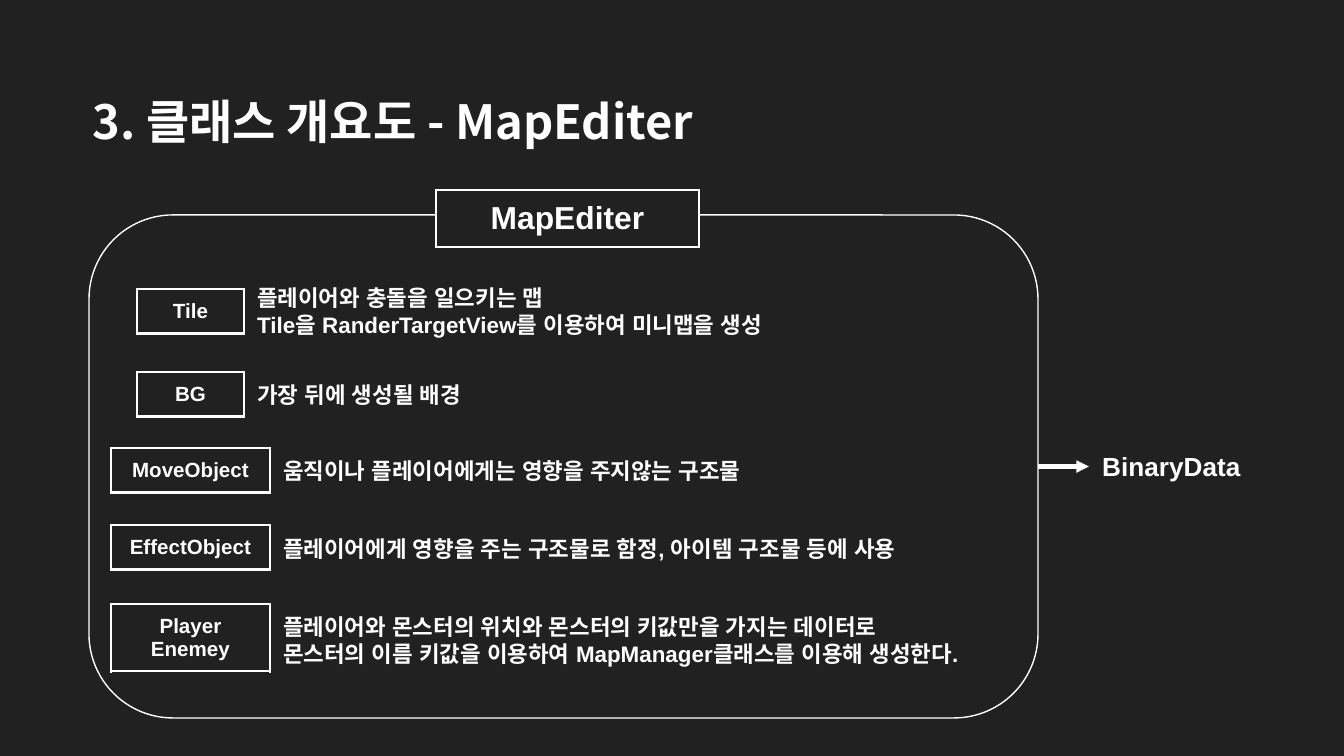
import pptx
import pptx.dml.color
import pptx.enum.shapes
import pptx.enum.text
import pptx.oxml.ns
import pptx.util
import lxml.etree

PX = 6803.57  # EMU in one px, 134.4 px to the inch
THEME = {
    "background": pptx.dml.color.RGBColor.from_string("212121"),
    "ink": pptx.dml.color.RGBColor.from_string("FFFFFF"),
    "title_font": "Noto Sans CJK KR",
    "body_font": "Arial",
    "title": 25.2, "header": 17, "output": 14, "note": 12, "label": 11,
    "panel_line": 0.75, "cell_line": 1.5, "arrow_line": 2.25,
}
qn = pptx.oxml.ns.qn


def px(*lengths):
    return [pptx.util.Emu(round(length * PX)) for length in lengths]


def write(frame, text, size, font="body_font", align=None):
    frame.text = text
    for paragraph in frame.paragraphs:
        paragraph.alignment = align
        for run in paragraph.runs:
            formats = {"name": THEME[font], "size": pptx.util.Pt(THEME[size]), "bold": True}
            for name, value in formats.items():
                setattr(run.font, name, value)
            run.font.color.rgb = THEME["ink"]
            east_asian = lxml.etree.SubElement(run.font._element, qn("a:ea"))
            east_asian.set("typeface", THEME[font])


presentation = pptx.Presentation()
presentation.slide_width, presentation.slide_height = px(1344, 756)
slide = presentation.slides.add_slide(presentation.slide_layouts[5])
slide.background.fill.solid()
slide.background.fill.fore_color.rgb = THEME["background"]

# Title
title = slide.shapes.title
title.left, title.top, title.width, title.height = px(79, 79, 717, 83)
write(title.text_frame, "3. 클래스 개요도 - MapEditer", "title", "title_font",
      pptx.enum.text.PP_ALIGN.LEFT)
title_format = {
    "vertical_anchor": pptx.enum.text.MSO_ANCHOR.MIDDLE,
    "auto_size": pptx.enum.text.MSO_AUTO_SIZE.NONE,
    "word_wrap": True,
}
for name, value in title_format.items():
    setattr(title.text_frame, name, value)

# Rounded panel around the editor's parts
panel = slide.shapes.add_shape(
    pptx.enum.shapes.MSO_SHAPE.ROUNDED_RECTANGLE, *px(89, 215, 949, 503))
panel.adjustments[0] = 0.167
panel.shadow.inherit = False
panel.fill.background()
panel.line.color.rgb = THEME["ink"]
panel.line.width = pptx.util.Pt(THEME["panel_line"])

# Boxed names: text, size, left, top, width; the row grows to fit its text
ROW_HEIGHT, FRAME_SIDE = 15, 441
boxes = [
    ("MapEditer", "header", 436, 190, 263),
    ("Tile", "label", 137, 289, 107),
    ("BG", "label", 137, 372, 107),
    ("MoveObject", "label", 111, 448, 159),
    ("EffectObject", "label", 111, 525, 159),
    ("Player\nEnemey", "label", 111, 604, 159),
]
for text, size, left, top, width in boxes:
    box = slide.shapes.add_table(1, 1, *px(left, top, width, ROW_HEIGHT))
    box.width, box.height = px(FRAME_SIDE, FRAME_SIDE)
    cell = box.table.cell(0, 0)
    write(cell.text_frame, text, size, align=pptx.enum.text.PP_ALIGN.CENTER)
    for side in ("left", "right", "top", "bottom"):
        setattr(cell, f"margin_{side}", pptx.util.Inches(0.08))
    properties = cell._tc.get_or_add_tcPr()
    for edge in ("a:lnL", "a:lnR", "a:lnT", "a:lnB"):
        border = lxml.etree.SubElement(properties, qn(edge))
        border.set("w", str(pptx.util.Pt(THEME["cell_line"])))
        solid = lxml.etree.SubElement(border, qn("a:solidFill"))
        lxml.etree.SubElement(solid, qn("a:srgbClr")).set("val", str(THEME["ink"]))
    cell.fill.solid()
    cell.fill.fore_color.rgb = THEME["background"]

# Descriptions and the output name: text, size, left, top, width, height
notes = [
    ("플레이어와 충돌을 일으키는 맵\nTile을 RanderTargetView를 이용하여 미니맵을 생성",
     "note", 244, 271, 831, 82),
    ("가장 뒤에 생성될 배경", "note", 244, 368, 831, 54),
    ("움직이나 플레이어에게는 영향을 주지않는 구조물", "note", 270, 444, 680, 54),
    ("플레이어에게 영향을 주는 구조물로 함정, 아이템 구조물 등에 사용",
     "note", 270, 522, 784, 54),
    ("플레이어와 몬스터의 위치와 몬스터의 키값만을 가지는 데이터로\n"
     "몬스터의 이름 키값을 이용하여 MapManager클래스를 이용해 생성한다.",
     "note", 270, 600, 784, 82),
    ("BinaryData", "output", 1089, 437, 190, 59),
]
for text, size, *place in notes:
    note = slide.shapes.add_textbox(*px(*place))
    note.text_frame.word_wrap = True
    for side in ("left", "right", "top", "bottom"):
        setattr(note.text_frame, f"margin_{side}", pptx.util.Inches(0.1))
    write(note.text_frame, text, size)
output = note

# Arrow from the panel to the output
arrow = slide.shapes.add_connector(
    pptx.enum.shapes.MSO_CONNECTOR.STRAIGHT, *px(1038, 466, 1089, 466))
arrow.begin_connect(panel, 3)
arrow.end_connect(output, 1)
arrow.line.color.rgb = THEME["ink"]
arrow.line.width = pptx.util.Pt(THEME["arrow_line"])
lxml.etree.SubElement(arrow.line._get_or_add_ln(), qn("a:tailEnd")).set("type", "triangle")
lxml.etree.SubElement(arrow._element.spPr, qn("a:effectLst"))

presentation.save("out.pptx")
